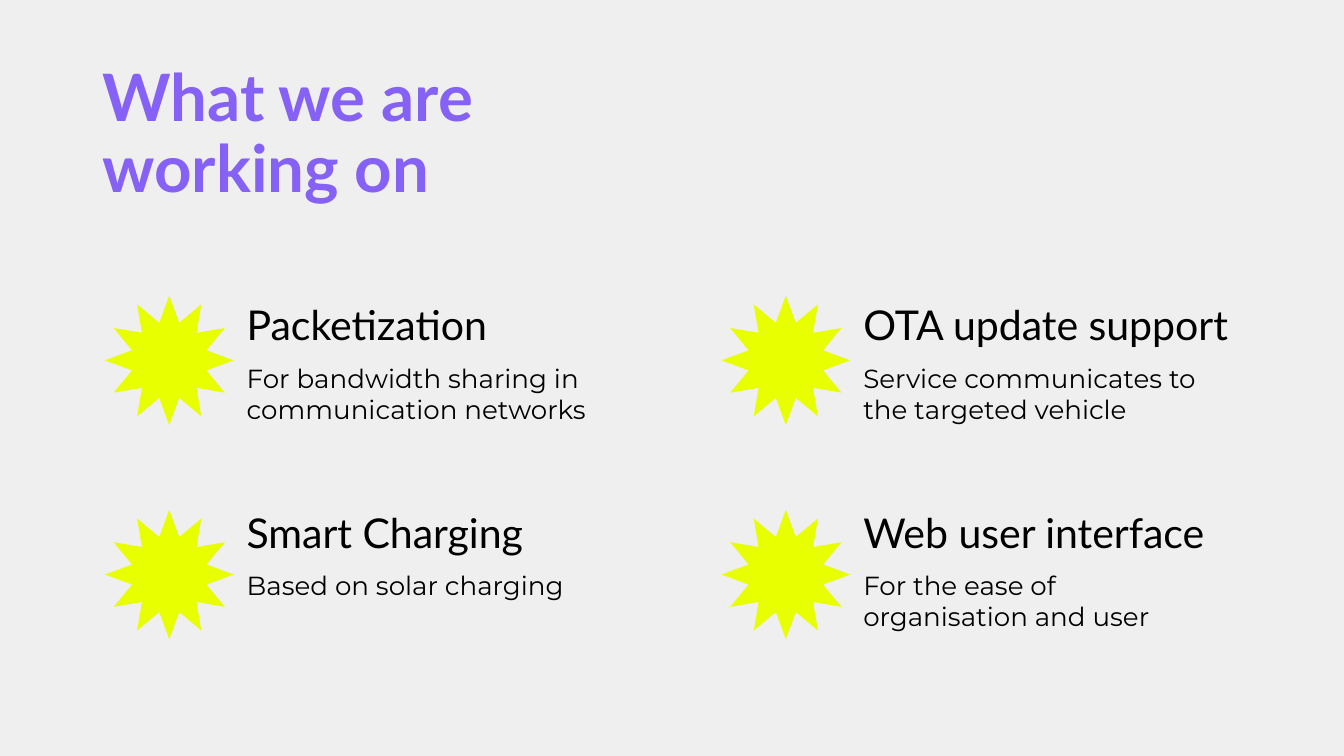
from dataclasses import dataclass

from pptx import Presentation
from pptx.dml.color import RGBColor
from pptx.enum.shapes import MSO_SHAPE
from pptx.enum.text import MSO_ANCHOR, PP_ALIGN
from pptx.util import Pt

STAR = MSO_SHAPE.STAR_12_POINT
TOP = MSO_ANCHOR.TOP
LEFT = PP_ALIGN.LEFT
EMU_PER_PX = 5715
BLANK_LAYOUT = 6


@dataclass(frozen=True)
class TextStyle:
    font: str
    size: int
    color: str
    bold: bool = False
    line_spacing: float = 1.0


@dataclass(frozen=True)
class Theme:
    background: str = "EFEFEF"
    accent: str = "E8FF00"
    title: TextStyle = TextStyle("Lato", 35, "8661F5", True, 0.9)
    topic: TextStyle = TextStyle("Lato", 22, "000000")
    detail: TextStyle = TextStyle("Montserrat", 14, "000000")


def px(*lengths):
    return [length * EMU_PER_PX for length in lengths]


class SlideBuilder:
    def __init__(self, slide, theme):
        self.slide = slide
        self.theme = theme

    def background(self):
        fill = self.slide.background.fill
        fill.solid()
        fill.fore_color.rgb = RGBColor.from_string(self.theme.background)

    def text(self, wording, style, left, top, width, height):
        frame = self.slide.shapes.add_textbox(*px(left, top, width, height)).text_frame
        frame.word_wrap = True
        frame.vertical_anchor = TOP
        frame.margin_left, frame.margin_top, frame.margin_right, frame.margin_bottom = px(16, 16, 16, 16)
        paragraph = frame.paragraphs[0]
        paragraph.alignment = LEFT
        paragraph.line_spacing = style.line_spacing
        run = paragraph.add_run()
        run.text = wording
        run.font.name = style.font
        run.font.size = Pt(style.size)
        run.font.bold = style.bold
        run.font.color.rgb = RGBColor.from_string(style.color)

    def star(self, left, top, width, height):
        burst = self.slide.shapes.add_shape(STAR, *px(left, top, width, height))
        burst.adjustments[0] = 0.3
        burst.shadow.inherit = False
        burst.fill.solid()
        burst.fill.fore_color.rgb = RGBColor.from_string(self.theme.accent)
        burst.line.fill.background()


TOPICS = [
    ("Packetization", "For bandwidth sharing in communication networks"),
    ("OTA update support", "Service communicates to the targeted vehicle"),
    ("Smart Charging", "Based on solar charging"),
    ("Web user interface", "For the ease of organisation and user"),
]
COLUMNS = 2
COLUMN_STEP = 734
TEXT_ROW_STEP = 247
STAR_ROW_STEP = 255
TOPIC_WIDTHS = (462, 554)


def main():
    presentation = Presentation()
    presentation.slide_width, presentation.slide_height = px(1600, 900)
    slide = presentation.slides.add_slide(presentation.slide_layouts[BLANK_LAYOUT])
    theme = Theme()
    builder = SlideBuilder(slide, theme)

    builder.background()
    builder.text("What we are working on", theme.title, 106, 62, 715, 208)
    for index, (topic, detail) in enumerate(TOPICS):
        row, column = divmod(index, COLUMNS)
        text_left = 278 + column * COLUMN_STEP
        topic_top = 341 + row * TEXT_ROW_STEP
        builder.text(topic, theme.topic, text_left, topic_top, TOPIC_WIDTHS[column], 82)
        builder.text(detail, theme.detail, text_left, topic_top + 74, 462, 146)
        builder.star(125 + column * COLUMN_STEP, 352 + row * STAR_ROW_STEP, 153, 154)

    presentation.save("out.pptx")


if __name__ == "__main__":
    main()
